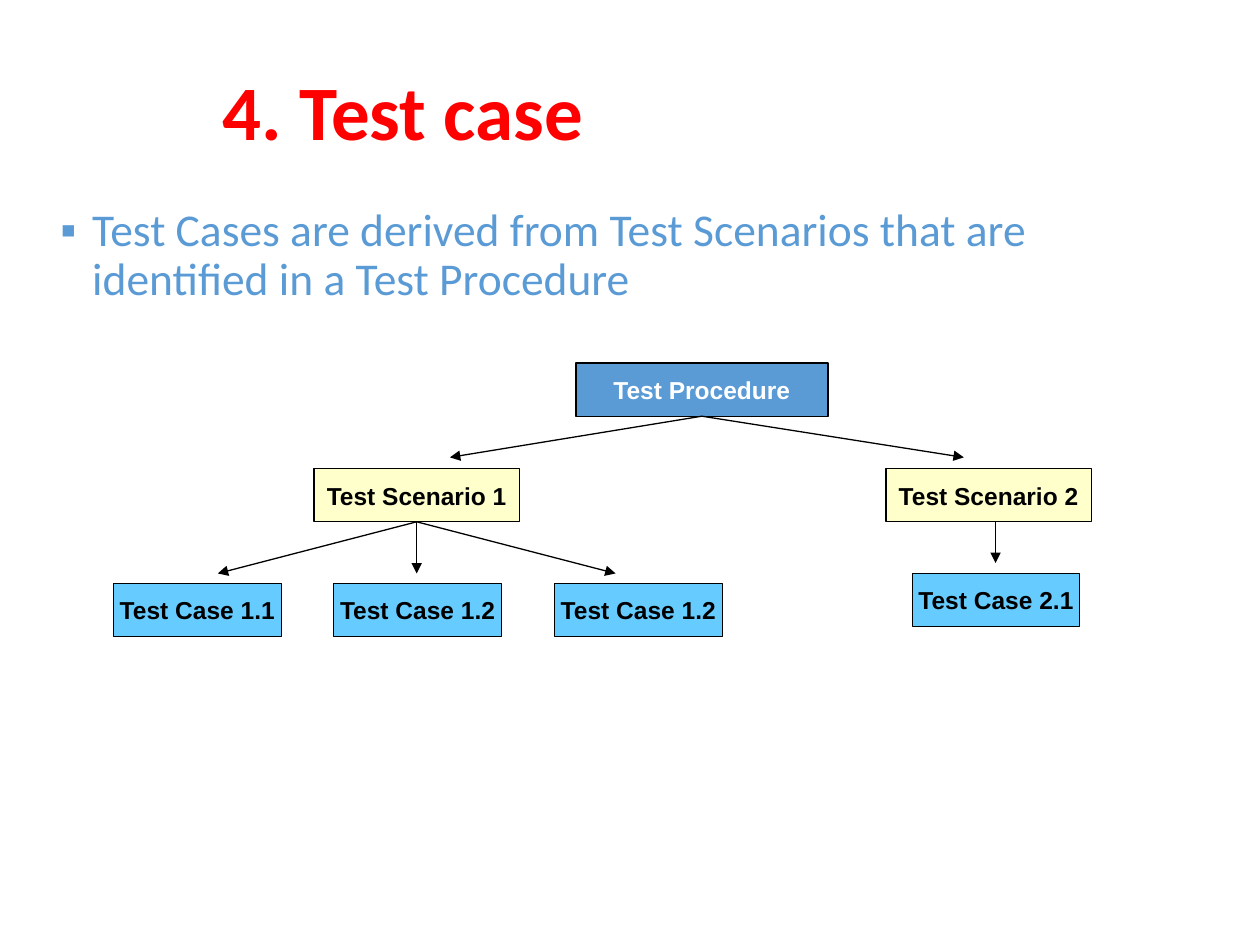
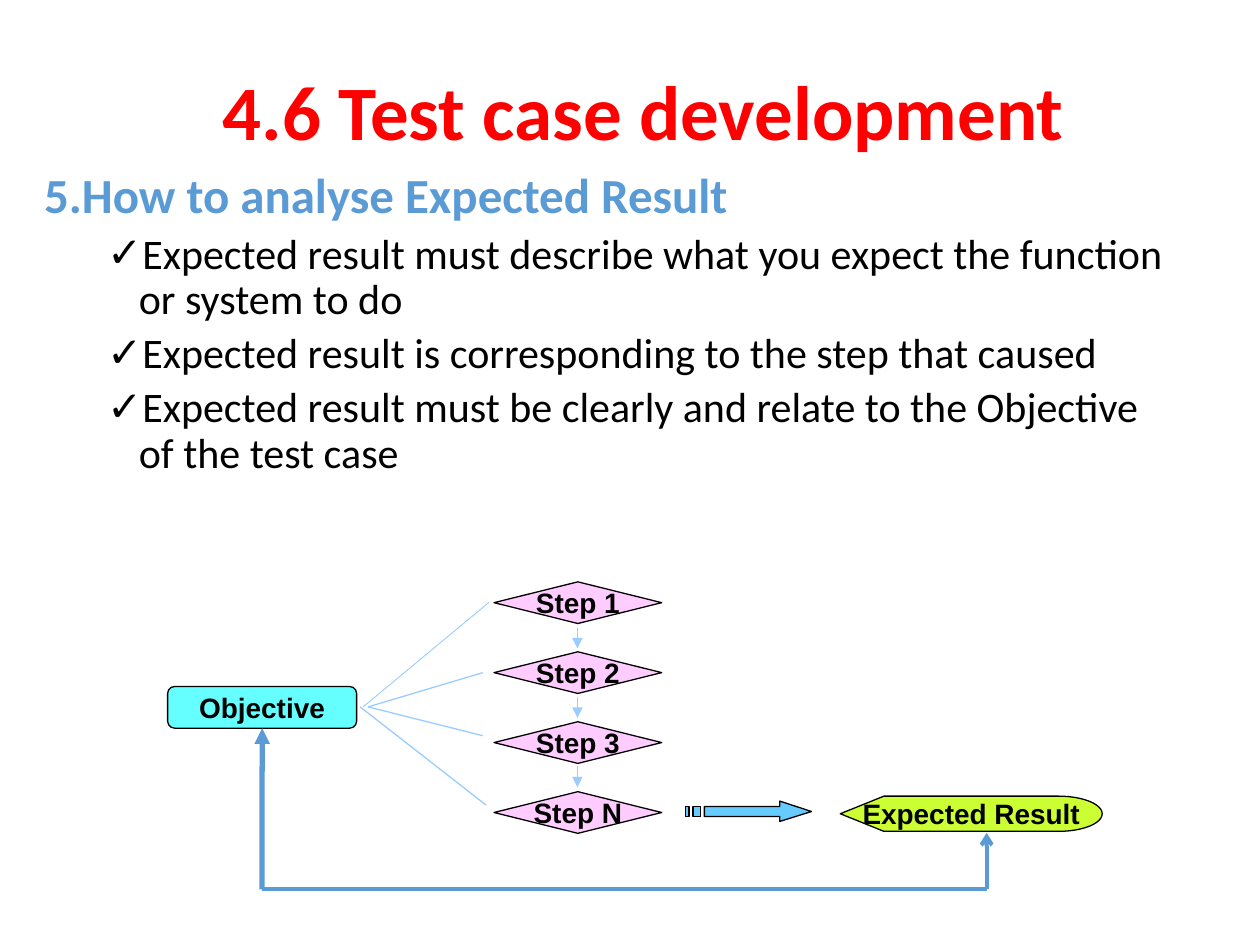
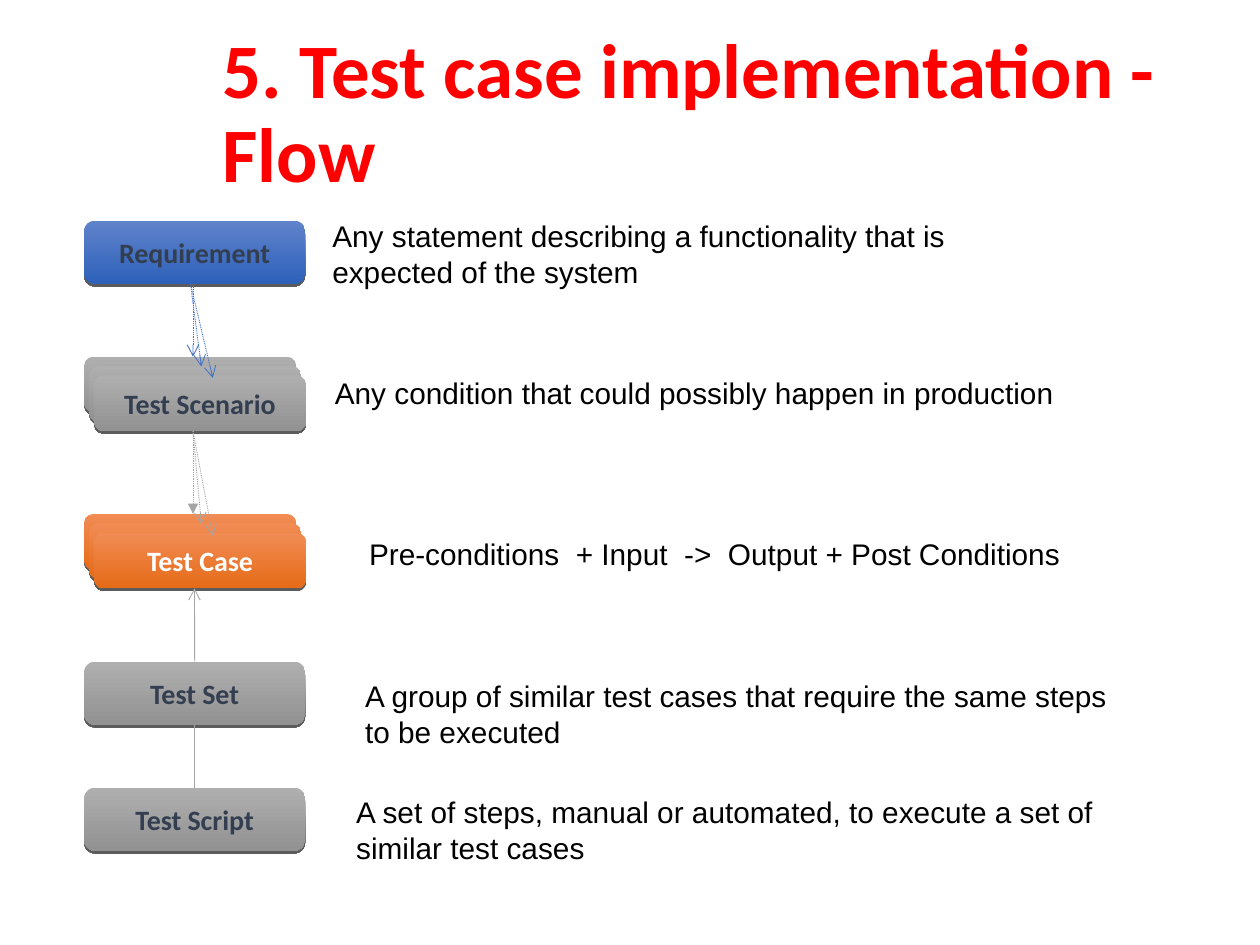
from lxml.etree import SubElement
from pptx import Presentation
from pptx.dml.color import RGBColor as Rgb
from pptx.enum.dml import MSO_LINE as Dash
from pptx.enum.shapes import MSO_CONNECTOR as Connector, MSO_SHAPE as Shape
from pptx.enum.text import MSO_ANCHOR as Anchor, PP_ALIGN as Align
from pptx.oxml.ns import qn
from pptx.util import Cm, Pt

COLORS = {
    "black": "000000", "white": "FFFFFF", "red": "FF0000", "blue": "5B9BD5",
    "cream": "FFFFCC", "sky": "66CCFF", "aqua": "66FFFF", "pink": "FFCCFF",
    "lime": "CCFF33", "pale": "99CCFF", "slate": "333F50", "gray": "A5A5A5",
    "royal": "4472C4", "royal top": "6083CB", "royal end": "2E61BA",
    "gray top": "AFAFAF", "gray end": "929292",
    "orange top": "F18C55", "orange end": "E56B17",
}
RGB = {name: Rgb.from_string(value) for name, value in COLORS.items()}


def add_box(page, kind, area, text, size, ink="black", fill=None,
            font="Arial", bold=True, wrap=False):
    area = [Cm(value) for value in area]
    if kind is None:
        box = page.shapes.add_textbox(*area)
    else:
        box = page.shapes.add_shape(kind, *area)
        box.shadow.inherit = False
        box.text_frame.vertical_anchor = Anchor.MIDDLE
        if kind == Shape.ROUNDED_RECTANGLE:
            box.line.fill.background()
            box.fill.gradient()
            box.fill.gradient_angle = 270
            for stop, end in zip(box.fill.gradient_stops, ("top", "end")):
                stop.color.rgb = RGB[f"{fill} {end}"]
            effects = box._element.spPr.find(qn("a:effectLst"))
            shadow = SubElement(effects, qn("a:outerShdw"), blurRad="0",
                                dist="19050", dir="5400000", rotWithShape="0")
            shade = SubElement(shadow, qn("a:srgbClr"), val=COLORS["black"])
            SubElement(shade, qn("a:alpha"), val="63000")
        else:
            box.fill.solid()
            box.fill.fore_color.rgb = RGB[fill]
            box.line.color.rgb = RGB["black"]
            box.line.width = Pt(0.75)
    box.text_frame.word_wrap = wrap
    box.text_frame.text = text
    for para in box.text_frame.paragraphs:
        para.alignment = Align.LEFT if kind is None else Align.CENTER
        for span in para.runs:
            span.font.name = font
            span.font.size = Pt(size)
            span.font.bold = bold
            span.font.color.rgb = RGB[ink]
    return box


def add_line(page, start, end, color="black", width=0.75, head=None, tail=None, dotted=False):
    line = page.shapes.add_connector(Connector.STRAIGHT, *[Cm(value) for value in start + end])
    line.line.color.rgb = RGB[color]
    line.line.width = Pt(width)
    if dotted:
        line.line.dash_style = Dash.ROUND_DOT
    for tag, arrow in (("a:headEnd", head), ("a:tailEnd", tail)):
        if arrow:
            SubElement(line.line._get_or_add_ln(), qn(tag), type=arrow)
    SubElement(line._element.spPr, qn("a:effectLst"))
    return line


deck = Presentation()
deck.slide_width, deck.slide_height = Cm(25.4), Cm(19.05)

contents = [
    ("4. Test case", (0.97, 4.06, 23.7, 13.51), [
        ("Test Cases are derived from Test Scenarios that are identified in a Test Procedure",
         26, "blue", False, 0.64, "▪")]),
    ("4.6 Test case development", (0.64, 3.33, 23.11, 13.51), [
        ("How to analyse Expected Result", 28, "blue", True, 0.64, 5),
        ("Expected result must describe what you expect the function or system to do",
         24, "black", False, 1.91, "✓"),
        ("Expected result is corresponding to the step that caused",
         24, "black", False, 1.91, "✓"),
        ("Expected result must be clearly and relate to the Objective of the test case",
         24, "black", False, 1.91, "✓")]),
    ("5. Test case implementation - Flow", None, []),
]
pages = []
for heading, area, points in contents:
    page = deck.slides.add_slide(deck.slide_layouts[6])
    pages.append(page)
    title = add_box(page, None, (4.24, 1.02, 19.41, 2.62), heading, 44, "red",
                    font="Calibri", wrap=True)
    title.text_frame.vertical_anchor = Anchor.MIDDLE
    title.text_frame.paragraphs[0].line_spacing = 0.9
    if not points:
        continue
    body = add_box(page, None, area, "\n".join(point[0] for point in points), 24,
                   font="Calibri", bold=False, wrap=True)
    for index, (para, point) in enumerate(zip(body.text_frame.paragraphs, points)):
        text, size, ink, bold, margin, bullet = point
        props = para._p.get_or_add_pPr()
        props.set("marL", str(Cm(margin)))
        props.set("indent", str(-Cm(0.64)))
        tint = SubElement(props, qn("a:buClr"))
        SubElement(tint, qn("a:srgbClr"), val=COLORS[ink])
        if isinstance(bullet, int):
            SubElement(props, qn("a:buAutoNum"), type="arabicPeriod", startAt=str(bullet))
        else:
            SubElement(props, qn("a:buFont"), typeface="Arial")
            SubElement(props, qn("a:buChar"), char=bullet)
        para.line_spacing = 0.9
        if index:
            para.space_before = Pt(5)
        for span in para.runs:
            span.font.size = Pt(size)
            span.font.bold = bold
            span.font.color.rgb = RGB[ink]

tree_page, analysis_page, flow_page = pages

procedure = add_box(tree_page, Shape.FLOWCHART_PROCESS, (11.61, 7.32, 5.08, 1.07),
                    "Test Procedure", 14, "white", "blue")
scenarios = [add_box(tree_page, Shape.RECTANGLE, (left, 9.45, 4.14, 1.07),
                     f"Test Scenario {number}", 14, fill="cream")
             for number, left in ((1, 6.33), (2, 17.86))]
for name, left, top in (("1.1", 2.29, 11.76), ("1.2", 6.73, 11.76),
                        ("1.2", 11.18, 11.76), ("2.1", 18.39, 11.56)):
    add_box(tree_page, Shape.RECTANGLE, (left, top, 3.38, 1.07),
            f"Test Case {name}", 14, fill="sky")
for parent, start, end in (
        (procedure, (14.15, 8.39), (9.07, 9.22)),
        (procedure, (14.15, 8.39), (19.43, 9.22)),
        (scenarios[0], (8.4, 10.52), (4.39, 11.56)),
        (scenarios[0], (8.4, 10.52), (8.4, 11.56)),
        (scenarios[0], (8.4, 10.52), (12.41, 11.56))):
    add_line(tree_page, start, end, tail="triangle").begin_connect(parent, 2)
add_line(tree_page, (20.07, 10.52), (20.07, 11.35), tail="triangle")

objective = add_box(analysis_page, Shape.FLOWCHART_ALTERNATE_PROCESS,
                    (3.38, 13.84, 3.81, 0.84), "Objective", 16, fill="aqua")
for index, name in enumerate("123N"):
    add_box(analysis_page, Shape.FLOWCHART_DECISION, (9.96, 11.73 + 1.41 * index, 3.38, 0.84),
            f"Step {name}", 16, fill="pink")
for index in range(3):
    top = 12.65 + 1.4 * index
    add_line(analysis_page, (11.64, top), (11.64, top + 0.42), "pale", tail="triangle")
for left, end, width in ((7.32, (9.86, 12.14), 0.5), (7.42, (9.73, 13.56), 0.75),
                         (7.42, (9.73, 14.83), 0.75), (7.26, (9.8, 16.23), 0.75)):
    add_line(analysis_page, (left, 14.25), end, "pale", width)
add_box(analysis_page, Shape.FLOWCHART_DISPLAY, (16.94, 16.05, 5.28, 0.71),
        "Expected Result", 16, fill="lime")

outline = analysis_page.shapes.build_freeform(1572, 1615, scale=Cm(0.01))
outline.add_line_segments([(1572, 1626), (1420, 1626), (1420, 1646), (1572, 1646),
                           (1572, 1656), (1636, 1636)])
for left, right in ((1397, 1412), (1382, 1389)):
    outline.move_to(left, 1626)
    outline.add_line_segments([(left, 1646), (right, 1646), (right, 1626)])
striped_arrow = outline.convert_to_shape()
striped_arrow.shadow.inherit = False
striped_arrow.fill.solid()
striped_arrow.fill.fore_color.rgb = RGB["sky"]
striped_arrow.line.color.rgb = RGB["black"]
striped_arrow.line.width = Pt(0.75)

riser = add_line(analysis_page, (5.28, 14.68), (5.28, 17.93), "blue", 3, head="triangle")
riser.begin_connect(objective, 2)
add_line(analysis_page, (5.28, 17.93), (19.89, 17.93), "blue", 2.25)
add_line(analysis_page, (19.89, 17.93), (19.89, 16.79), "blue", 2.25, tail="arrow")

requirement, test_set, test_script = [
    add_box(flow_page, Shape.ROUNDED_RECTANGLE, (1.7, top, 4.45, 1.27), name, 16,
            "slate", fill, "Calibri", wrap=True)
    for name, top, fill in (("Requirement", 4.45, "royal"), ("Test Set", 13.34, "gray"),
                            ("Test Script", 15.88, "gray"))]
for name, top, ink, fill in (("Test Scenario", 7.19, "slate", "gray"),
                             ("Test Case", 10.36, "white", "orange")):
    for layer, label in enumerate(("", "", name)):
        add_box(flow_page, Shape.ROUNDED_RECTANGLE,
                (1.7 + 0.1 * layer, top + 0.19 * layer, 4.27, 1.12),
                label, 16, ink, fill, "Calibri", wrap=True)

for area, text, wrap in (
        ((6.45, 4.27, 13.72, 1.7),
         "Any statement describing a functionality that is expected of the system", True),
        ((6.5, 7.44, 15.01, 0.99),
         "Any condition that could possibly happen in production", False),
        ((7.19, 10.67, 14.45, 0.99),
         "Pre-conditions  + Input  ->  Output + Post Conditions", False),
        ((7.11, 13.54, 15.6, 1.7),
         "A group of similar test cases that require the same steps to be executed", True),
        ((6.93, 15.88, 15.72, 1.7),
         "A set of steps, manual or automated, to execute a set of similar test cases", True)):
    add_box(flow_page, None, area, text, 17, bold=False, wrap=wrap)

for start, end, color, tip in (
        ((3.89, 5.72), (3.89, 7.19), "royal", "arrow"),
        ((3.84, 5.72), (4.29, 7.62), "royal", "arrow"),
        ((3.84, 5.72), (4.06, 7.39), "royal", "arrow"),
        ((3.89, 8.69), (3.89, 10.36), "gray", "triangle"),
        ((3.89, 8.69), (4.29, 10.8), "gray", "arrow"),
        ((3.89, 8.69), (4.06, 10.57), "gray", "arrow")):
    add_line(flow_page, start, end, color, 0.5, tail=tip, dotted=True)
set_arrow = add_line(flow_page, (3.92, 13.34), (3.92, 11.86), "gray", 0.5, tail="arrow")
set_arrow.begin_connect(test_set, 0)
script_link = add_line(flow_page, (3.92, 14.61), (3.92, 15.88), "gray", 0.5)
script_link.begin_connect(test_set, 2)
script_link.end_connect(test_script, 0)

deck.save("out.pptx")
